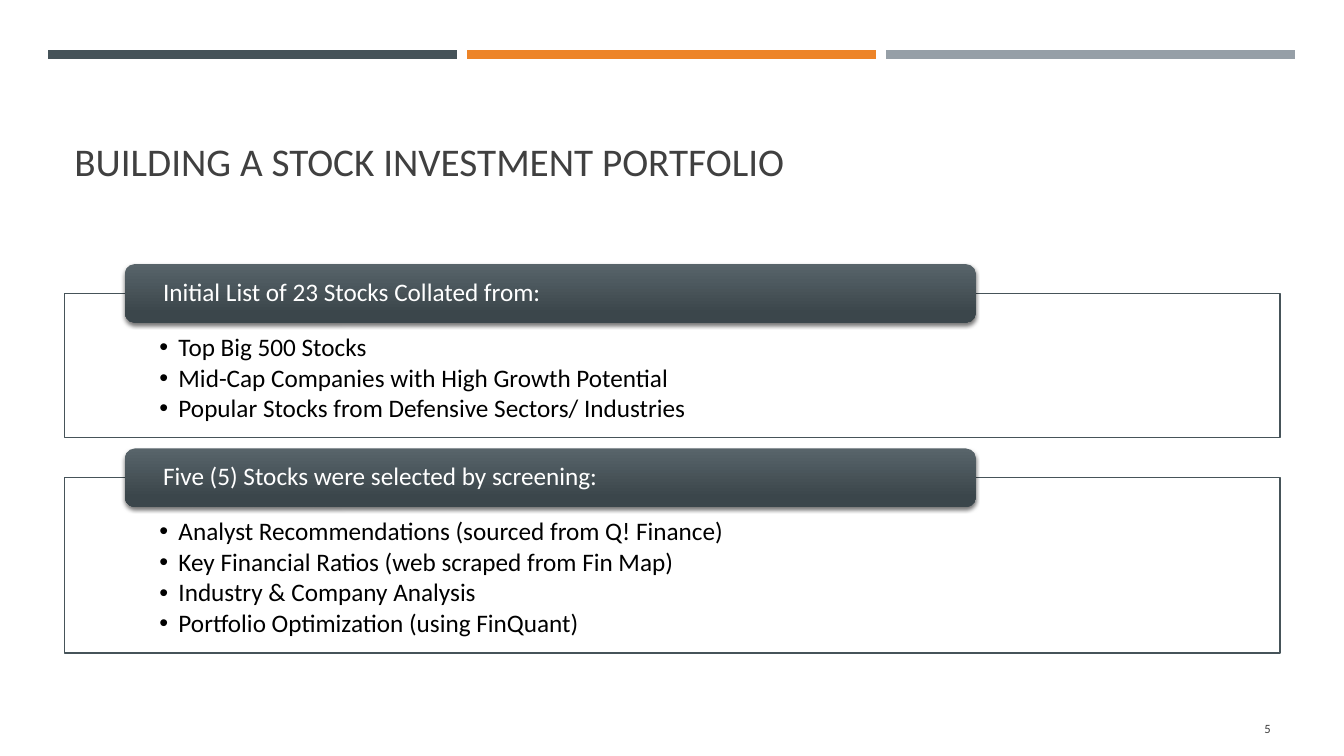
from lxml.etree import SubElement as Sub
from pptx import Presentation
from pptx.dml.color import RGBColor as Rgb
from pptx.enum.shapes import MSO_CONNECTOR as Conn, MSO_SHAPE as Kind
from pptx.enum.text import MSO_ANCHOR as Anchor, PP_ALIGN as Align
from pptx.oxml.ns import qn
from pptx.util import Inches, Pt

WIDE, HIGH = 13.33, 7.5
FONT = "Calibri"
HUES = {
    "slate": "465359", "orange": "ED8428", "gray": "969FA7",
    "ink": "404040", "black": "000000", "white": "FFFFFF",
    "light": "58646A", "dark": "3B464B",
}
LEFT, SPAN = 4.8, 90.45  # columns of the title and the cards
TAB = 7.73               # rows in a card's tab
GAP = 5.33               # rows between cards

CARDS = [
    ("Initial List of 23 Stocks Collated from:",
     ["Top Big 500 Stocks",
      "Mid-Cap Companies with High Growth Potential",
      "Popular Stocks from Defensive Sectors/ Industries"]),
    ("Five (5) Stocks were selected by screening:",
     ["Analyst Recommendations (sourced from Q! Finance)",
      "Key Financial Ratios (web scraped from Fin Map)",
      "Industry & Company Analysis",
      "Portfolio Optimization (using FinQuant)"]),
]


def hue(name):
    return Rgb.from_string(HUES[name])


def grid(*cells):
    """Turn x, y pairs on a 100 by 100 grid into slide lengths."""
    sides = (WIDE, HIGH) * (len(cells) // 2)
    return [Inches(cell * side / 100) for cell, side in zip(cells, sides)]


def write(shape, lines, size=18, color="ink", align=Align.LEFT,
          anchor=Anchor.MIDDLE, pads=(0.1, 0.05, 0.1, 0.05),
          lead=1.0, after=0, dots=False):
    frame = shape.text_frame
    frame.word_wrap = True
    frame.vertical_anchor = anchor
    (frame.margin_left, frame.margin_top,
     frame.margin_right, frame.margin_bottom) = map(Inches, pads)
    for i, line in enumerate(lines):
        para = frame.add_paragraph() if i else frame.paragraphs[0]
        para.alignment = align
        para.line_spacing = lead
        para.space_after = Pt(after)
        run = para.add_run()
        run.text = line
        run.font.name, run.font.size = FONT, Pt(size)
        run.font.color.rgb = hue(color)
        if dots:
            add_dot(para)


def add_dot(para):
    props = para._p.get_or_add_pPr()
    dent = Inches(0.19)
    props.set("marL", str(dent))
    props.set("indent", str(-dent))
    Sub(props, qn("a:buFont"), typeface="Arial")
    Sub(props, qn("a:buChar"), char="•")


def add_text(slide, box, text, **style):
    write(slide.shapes.add_textbox(*grid(*box)), [text], **style)


def add_bar(slide, left, color):
    bar = slide.shapes.add_connector(
        Conn.STRAIGHT, *grid(left, 7.2, left + 30.38, 7.2))
    bar.line.color.rgb = hue(color)
    bar.line.width = Pt(6.5)
    Sub(bar._element.spPr, qn("a:effectLst"))


def add_shape(slide, kind, box):
    shape = slide.shapes.add_shape(kind, *grid(*box))
    shape.shadow.inherit = False
    return shape


def add_panel(slide, top, rows, items):
    panel = add_shape(slide, Kind.RECTANGLE, (LEFT, top, SPAN, rows))
    panel.fill.solid()
    panel.fill.fore_color.rgb = hue("white")
    tint = panel._element.spPr.find(f"{qn('a:solidFill')}/{qn('a:srgbClr')}")
    Sub(tint, qn("a:alpha"), val="90000")
    panel.line.color.rgb = hue("slate")
    panel.line.width = Pt(1)
    write(panel, items, color="black", anchor=Anchor.TOP, lead=0.9,
          after=2.4, pads=(0.94, 0.41, 0.94, 0.14), dots=True)


def add_tab(slide, top, head):
    tab = add_shape(slide, Kind.ROUNDED_RECTANGLE, (9.3, top, 63.3, TAB))
    tab.fill.gradient()
    tab.fill.gradient_angle = 270
    stops = zip(tab.fill.gradient_stops, (("light", 0), ("dark", 0.84)))
    for stop, (name, place) in stops:
        stop.color.rgb = hue(name)
        stop.position = place
    tab.line.fill.background()
    glow = Sub(tab._element.spPr.find(qn("a:effectLst")), qn("a:outerShdw"),
               blurRad=str(Pt(3)), dist=str(Pt(2)), dir="5400000",
               rotWithShape="0")
    tint = Sub(glow, qn("a:srgbClr"), val=HUES["black"])
    Sub(tint, qn("a:alpha"), val="55000")
    write(tab, [head], color="white", lead=0.9, pads=(0.35, 0, 0.35, 0))


def main():
    deck = Presentation()
    deck.slide_width, deck.slide_height = Inches(WIDE), Inches(HIGH)
    slide = deck.slides.add_slide(deck.slide_layouts[6])

    for i, color in enumerate(("slate", "orange", "gray")):
        add_bar(slide, 3.6 + i * 31.17, color)
    add_text(slide, (LEFT, 10.67, SPAN, 14.4),
             "BUILDING A STOCK INVESTMENT PORTFOLIO",
             size=28, anchor=Anchor.BOTTOM)

    top = 38.8
    for head, items in CARDS:
        rows = 6.67 + 4.13 * len(items)
        add_panel(slide, top, rows, items)
        add_tab(slide, top - TAB / 2, head)
        top += rows + GAP

    add_text(slide, (86.65, 93.73, 8.63, 5.33), "5",
             size=9, align=Align.RIGHT)
    deck.save("out.pptx")


if __name__ == "__main__":
    main()
